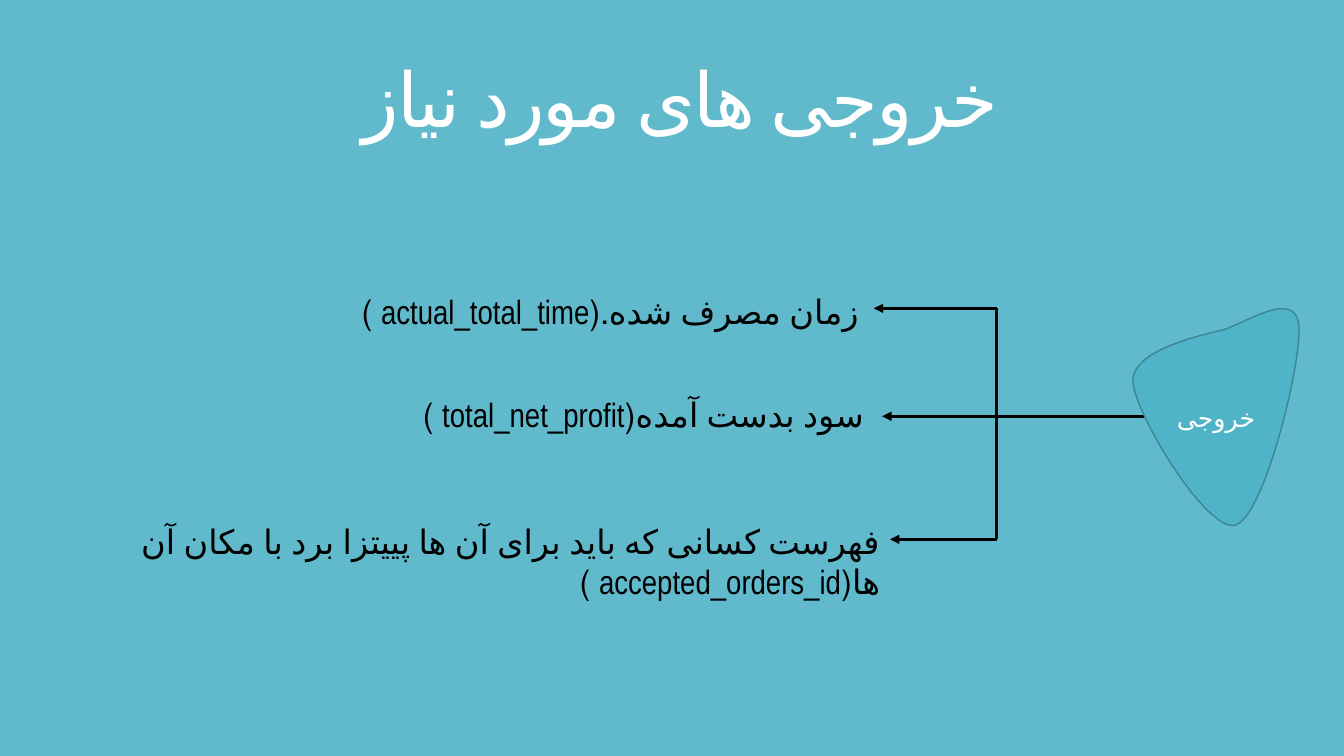
from dataclasses import dataclass

from lxml.etree import SubElement
from pptx import Presentation
from pptx.dml.color import RGBColor
from pptx.enum.shapes import MSO_CONNECTOR
from pptx.enum.text import MSO_ANCHOR, MSO_AUTO_SIZE, PP_ALIGN
from pptx.oxml.ns import qn
from pptx.util import Cm, Pt


@dataclass(frozen=True)
class Theme:
    back: str = "60BACC"
    fill: str = "50B4C8"
    edge: str = "3B8594"
    ink: str = "000000"
    light: str = "FFFFFF"
    main: str = "Calibri"
    code: str = "Arial Narrow"
    head: int = 54
    body: int = 24
    label: int = 18
    rule: float = 2.25


THEME = Theme()

# Drop from the top, text before the bracket, code name, text box (left,
# width), rise of the text box above its branch, and arrow tip; lengths in cm
ITEMS = [
    (0, "زمان مصرف شده.(", "actual_total_time ", 0.99, 20.9, 0.56, 22.02),
    (2.72, "سود بدست آمده(", "total_net_profit ", 10.21, 11.81, 0.69, 22.23),
    (5.82, "فهرست کسانی که باید برای آن ها پییتزا برد با مکان آن ها(",
     "accepted_orders_id ", 0, 22.43, 0.59, 22.43),
]

# Bezier outline as fractions of the box: start, then two handles and an end
START = (0, 0.34)
CURVES = [
    ((-0.01, 0.2), (0.37, 0.13), (0.54, 0.1)),
    ((0.7, 0.06), (1, -0.1), (1, 0.1)),
    ((1, 0.3), (0.79, 0.95), (0.62, 1)),
    ((0.45, 1.04), (0.02, 0.5), START),
]


def color(code):
    return RGBColor.from_string(code)


def write(frame, *runs, size, ink=THEME.ink, align=PP_ALIGN.RIGHT,
          rtl=True, gap=None, line=None):
    """Fill the frame with one paragraph of (text, font) runs."""
    frame.word_wrap = True
    par = frame.paragraphs[0]
    par.alignment = align
    if line:
        par.line_spacing = line
    if rtl:
        par._p.get_or_add_pPr().set("rtl", "1")
    for text, face in runs:
        run = par.add_run()
        run.text = text
        font = run.font
        font.size, font.name = Pt(size), face
        font.color.rgb = color(ink)
        props = run._r.get_or_add_rPr()
        props.set("lang", "en-US" if face == THEME.code else "fa-IR")
        if gap:
            props.set("spc", str(gap))


def link(slide, x1, y1, x2, y2, arrow=False):
    wire = slide.shapes.add_connector(
        MSO_CONNECTOR.STRAIGHT, Cm(x1), Cm(y1), Cm(x2), Cm(y2))
    wire.line.color.rgb = color(THEME.ink)
    wire.line.width = Pt(THEME.rule)
    if arrow:
        SubElement(wire.line._get_or_add_ln(), qn("a:tailEnd")).set(
            "type", "triangle")
    SubElement(wire._element.spPr, qn("a:effectLst"))


def add_title(slide, left, top, width, height):
    title = slide.shapes.title
    title.left, title.top = Cm(left), Cm(top)
    title.width, title.height = Cm(width), Cm(height)
    frame = title.text_frame
    frame.auto_size = MSO_AUTO_SIZE.NONE
    frame.vertical_anchor = MSO_ANCHOR.MIDDLE
    write(frame, ("خروجی های مورد نیاز", THEME.main), size=THEME.head,
          ink=THEME.light, align=PP_ALIGN.CENTER, gap=-120, line=0.85)


def trace(steps=24):
    """Sample the outline as points in fractions of its box."""
    a = START
    for b, c, d in CURVES:
        for i in range(1, steps + 1):
            t = i / steps
            u = 1 - t
            yield tuple(
                u**3 * p + 3 * u * u * t * q + 3 * u * t * t * r + t**3 * s
                for p, q, r, s in zip(a, b, c, d))
        a = d


def add_source(slide, left, top, width, height):
    def place(point):
        return Cm(left + point[0] * width), Cm(top + point[1] * height)

    pen = slide.shapes.build_freeform(*place(START), scale=1.0)
    pen.add_line_segments([place(point) for point in trace()], close=True)
    blob = pen.convert_to_shape()
    blob.shadow.inherit = False
    blob.fill.solid()
    blob.fill.fore_color.rgb = color(THEME.fill)
    blob.line.color.rgb = color(THEME.edge)
    blob.line.width = Pt(1)
    blob.text_frame.vertical_anchor = MSO_ANCHOR.MIDDLE
    write(blob.text_frame, ("خروجی", THEME.main), size=THEME.label,
          ink=THEME.light, align=PP_ALIGN.CENTER, rtl=False)


def add_tree(slide, left, top, height, spine=25.12, root=29.21):
    """Draw the spine with one arrow and one text for each output."""
    spine += left
    link(slide, spine, top, spine, top + height)
    for drop, text, name, start, width, rise, tip in ITEMS:
        y = top + drop
        middle = 0 < drop < height
        link(slide, left + root if middle else spine, y, left + tip, y,
             arrow=True)
        box = slide.shapes.add_textbox(
            Cm(left + start), Cm(y - rise), Cm(width), Cm(1.27))
        box.text_frame.auto_size = MSO_AUTO_SIZE.SHAPE_TO_FIT_TEXT
        write(box.text_frame, (text, THEME.main), (name, THEME.code),
              (")", THEME.main), size=THEME.body)


def main():
    deck = Presentation()
    deck.slide_width, deck.slide_height = Cm(33.87), Cm(19.05)
    slide = deck.slides.add_slide(deck.slide_layouts.get_by_name("Title Only"))
    slide.background.fill.solid()
    slide.background.fill.fore_color.rgb = color(THEME.back)
    add_title(slide, 2.54, 0.79, 29.21, 3.68)
    add_tree(slide, 0, 7.77, 5.82)
    add_source(slide, 28.55, 7.77, 4.19, 5.46)
    deck.save("out.pptx")


if __name__ == "__main__":
    main()
